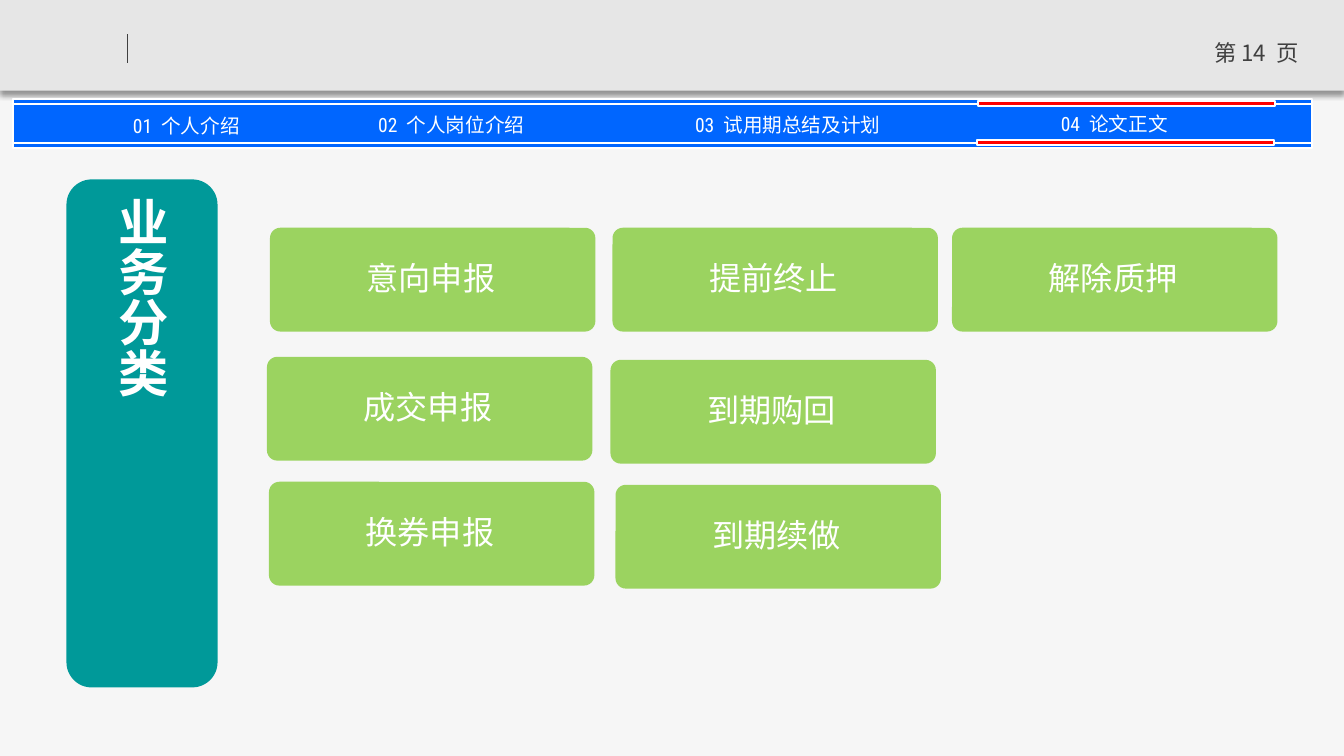
from pptx import Presentation
from pptx.util import Inches, Pt
from pptx.dml.color import RGBColor
from pptx.enum.shapes import MSO_SHAPE as SHAPE, MSO_CONNECTOR as CONN
from pptx.enum.text import PP_ALIGN as AL, MSO_ANCHOR as ANC
from pptx.oxml import parse_xml
from pptx.oxml.ns import qn, nsdecls
from lxml import etree

C = {"bg": "F6F6F6", "band": "E6E6E6", "ink": "404040", "blue": "0066FF",
     "red": "FF0000", "teal": "009999", "green": "92D050", "white": "FFFFFF"}
CJK, BODY, NAV = "Noto Sans CJK SC", "Calibri", "Roboto Condensed"

NAV_ITEMS = [  # left, top, number, label
    (0.61, 1.13, "01  ", "个人介绍"),
    (3.24, 1.12, "02  ", "个人岗位介绍"),
    (6.58, 1.12, "03  ", "试用期总结及计划"),
    (9.82, 1.11, "04  ", "论文正文"),
]
CARDS = [  # left, top, label
    (2.68, 2.26, "意向申报"), (6.08, 2.26, "提前终止"), (9.45, 2.26, "解除质押"),
    (2.65, 3.54, "成交申报"), (6.06, 3.57, "到期购回"),
    (2.67, 4.78, "换券申报"), (6.11, 4.81, "到期续做"),
]


def rgb(name):
    return RGBColor.from_string(C[name])


def add_box(s, shape, box, fill, line=None):
    sp = s.shapes.add_shape(shape, *map(Inches, box))
    sp.shadow.inherit = False
    sp.fill.solid()
    sp.fill.fore_color.rgb = rgb(fill)
    if line:
        sp.line.color.rgb = rgb(line)
        sp.line.width = Pt(1.5)
    else:
        sp.line.fill.background()
    return sp


def add_run(p, text, size, font, color="white", bold=False):
    r = p.add_run()
    r.text = text
    r.font.size, r.font.name, r.font.bold = Pt(size), font, bold
    r.font.color.rgb = rgb(color)
    etree.SubElement(r._r.get_or_add_rPr(), qn("a:ea")).set("typeface", CJK)


def add_text(s, box, inset=0.0):
    tf = s.shapes.add_textbox(*map(Inches, box)).text_frame
    tf.word_wrap = True
    tf.margin_left = tf.margin_right = Inches(inset)
    tf.margin_top = tf.margin_bottom = Inches(inset / 2)
    p = tf.paragraphs[0]
    p.alignment = AL.CENTER
    return tf, p


def header(s, x, y, w, h):
    band = add_box(s, SHAPE.RECTANGLE, (x, y, w, h), "band")
    effects = band._element.spPr.find(qn("a:effectLst"))
    effects.append(parse_xml(
        f'<a:outerShdw {nsdecls("a")} blurRad="{Pt(4)}" dist="{Pt(3)}" dir="5400000" '
        'algn="t" rotWithShape="0"><a:srgbClr val="000000"><a:alpha val="40000"/>'
        '</a:srgbClr></a:outerShdw>'))
    # Divider
    ln = s.shapes.add_connector(CONN.STRAIGHT, *map(
        Inches, (x + 1.27, y + 0.34, x + 1.27, y + 0.63)))
    ln.line.color.rgb = rgb("ink")
    ln.line.width = Pt(0.75)
    etree.SubElement(ln._element.spPr, qn("a:effectLst"))
    # Page number
    _, p = add_text(s, (x + w - 1.47, y + 0.34, 1.2, 0.4), 0.1)
    add_run(p, "第 14  页", 16, CJK, "ink")


def nav_bar(s, x, y, w):
    for dy, h in ((0.05, 0.43), (0.44, 0.05), (0, 0.05)):
        add_box(s, SHAPE.RECTANGLE, (x, y + dy, w, h), "blue", "white")
    for left, top, number, label in NAV_ITEMS:
        tf, p = add_text(s, (left, top, 2.48, 0.24))
        tf.vertical_anchor = ANC.MIDDLE
        add_run(p, number, 14, NAV)
        add_run(p, label, 14, CJK)
    # Current section marks
    for dx, dy in ((9.58, 0.02), (9.57, 0.41)):
        add_box(s, SHAPE.RECTANGLE, (x + dx, y + dy, 2.95, 0.05), "red", "white")


def side_title(s, x, y, w, h):
    sp = add_box(s, SHAPE.ROUNDED_RECTANGLE, (x, y, w, h), "teal")
    tf = sp.text_frame
    tf.vertical_anchor = ANC.MIDDLE
    tf._txBody.bodyPr.set("vert", "eaVert")
    p = tf.paragraphs[0]
    p.alignment = AL.LEFT
    add_run(p, "业务分类", 36, BODY, bold=True)


def card(s, x, y, w, h, label):
    sp = add_box(s, SHAPE.ROUNDED_RECTANGLE, (x, y, w, h), "green")
    sp.adjustments[0] = 0.1
    color = sp._element.spPr.find(qn("a:solidFill"))[0]
    etree.SubElement(color, qn("a:alpha")).set("val", "90000")
    tf = sp.text_frame
    tf.vertical_anchor = ANC.MIDDLE
    tf.margin_right = Inches(0.13)
    p = tf.paragraphs[0]
    p.alignment = AL.CENTER
    p.line_spacing = 0.9
    add_run(p, label, 23, BODY)


def main():
    prs = Presentation()
    prs.slide_width, prs.slide_height = Inches(13.34), Inches(7.5)
    s = prs.slides.add_slide(prs.slide_layouts[6])
    s.background.fill.solid()
    s.background.fill.fore_color.rgb = rgb("bg")
    header(s, 0, 0, 13.34, 0.9)
    nav_bar(s, 0.13, 0.98, 12.89)
    side_title(s, 0.66, 1.78, 1.5, 5.04)
    for x, y, label in CARDS:
        card(s, x, y, 3.23, 1.03, label)
    prs.save("out.pptx")


if __name__ == "__main__":
    main()
